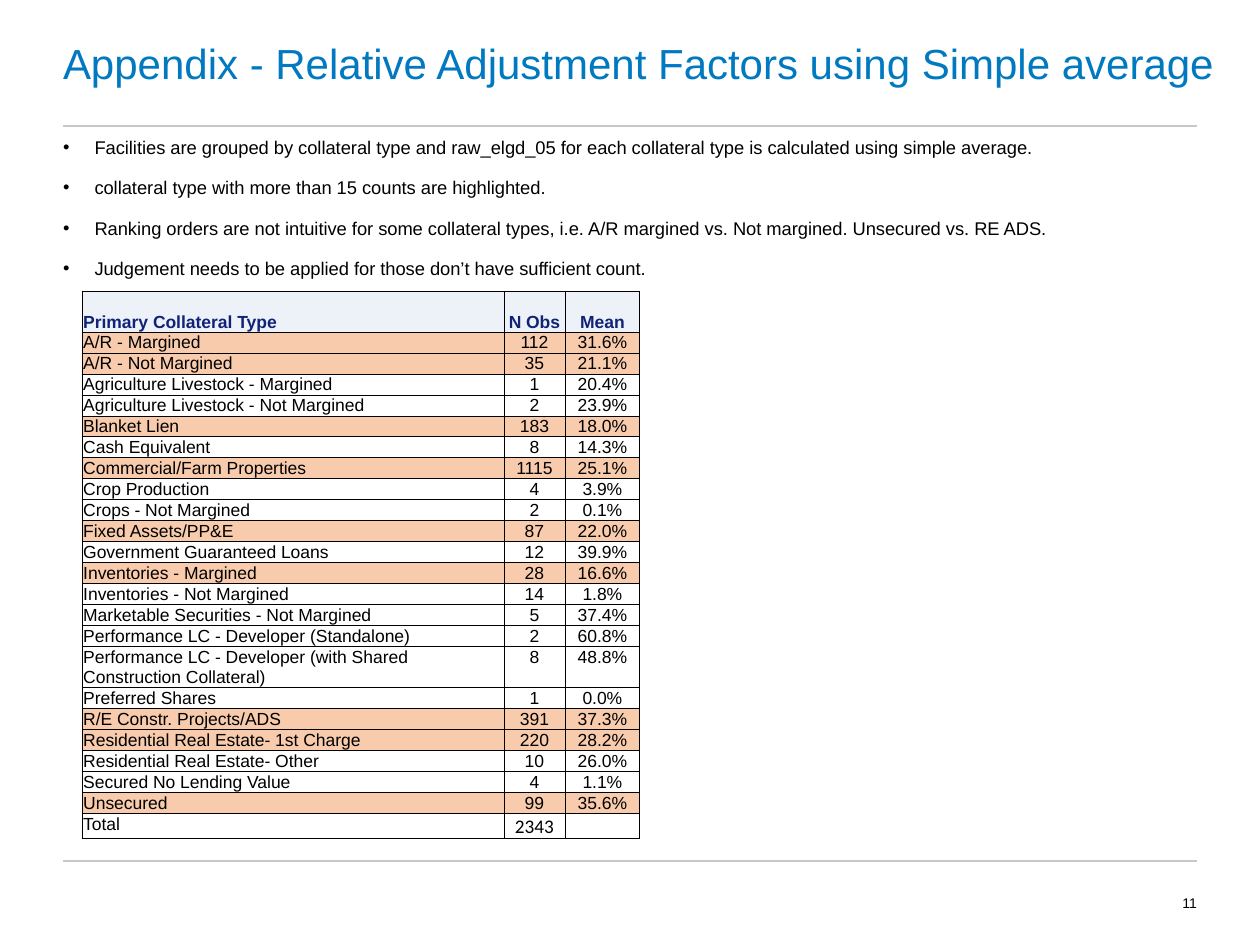
"""Build the appendix slide on relative adjustment factors using simple average."""
from lxml import etree
from pptx import Presentation, util as u
from pptx.dml.color import RGBColor
from pptx.enum import shapes, text
from pptx.oxml import ns

PX = 914400 / 126


def px(*lengths):
    return [u.Emu(round(n * PX)) for n in lengths]


def add_run(p, words, size, color, font="Arial", bold=False):
    r = p.add_run()
    r.text = words
    r.font.size = u.Pt(size)
    r.font.name = font
    r.font.bold = bold
    r.font.color.rgb = RGBColor.from_string(color)


bullets = [
    "Facilities are grouped by collateral type and raw_elgd_05 for each collateral type is calculated using simple average.",
    "collateral type with more than 15 counts are highlighted.",
    "Ranking orders are not intuitive for some collateral types, i.e. A/R margined vs. Not margined. Unsecured vs. RE ADS.",
    "Judgement needs to be applied for those don’t have sufficient count.",
]
factors = [
    ("A/R - Margined", 112, "31.6%"),
    ("A/R - Not Margined", 35, "21.1%"),
    ("Agriculture Livestock - Margined", 1, "20.4%"),
    ("Agriculture Livestock - Not Margined", 2, "23.9%"),
    ("Blanket Lien", 183, "18.0%"),
    ("Cash Equivalent", 8, "14.3%"),
    ("Commercial/Farm Properties", 1115, "25.1%"),
    ("Crop Production", 4, "3.9%"),
    ("Crops - Not Margined", 2, "0.1%"),
    ("Fixed Assets/PP&E", 87, "22.0%"),
    ("Government Guaranteed Loans", 12, "39.9%"),
    ("Inventories - Margined", 28, "16.6%"),
    ("Inventories - Not Margined", 14, "1.8%"),
    ("Marketable Securities - Not Margined", 5, "37.4%"),
    ("Performance LC - Developer (Standalone)", 2, "60.8%"),
    ("Performance LC - Developer (with Shared Construction Collateral)", 8, "48.8%"),
    ("Preferred Shares", 1, "0.0%"),
    ("R/E Constr. Projects/ADS", 391, "37.3%"),
    ("Residential Real Estate- 1st Charge", 220, "28.2%"),
    ("Residential Real Estate- Other", 10, "26.0%"),
    ("Secured No Lending Value", 4, "1.1%"),
    ("Unsecured", 99, "35.6%"),
]
total = sum(count for _, count, _ in factors)
rows = [("Primary Collateral Type", "N Obs", "Mean"), *factors, ("Total", total, "")]
last = len(rows) - 1

prs = Presentation()
prs.slide_width, prs.slide_height = px(1260, 945)
s = prs.slides.add_slide(prs.slide_layouts[1])

for y in (861, 126):
    x1, x2, y1 = px(63, 1197, y)
    line = s.shapes.add_connector(shapes.MSO_CONNECTOR.STRAIGHT, x1, y1, x2, y1)
    line.line.color.rgb = RGBColor.from_string("C8C8C8")
    line.line.width = u.Pt(0.75)
    etree.SubElement(line._element.spPr, ns.qn("a:effectLst"))

title, body = s.placeholders
number = s.shapes.add_textbox(*px(1134, 861, 63, 84))
for sp, box, anchor in (
    (title, (63, 0, 1166, 126), text.MSO_ANCHOR.MIDDLE),
    (body, (63, 136, 1134, 714), text.MSO_ANCHOR.TOP),
    (number, (1134, 861, 63, 84), text.MSO_ANCHOR.MIDDLE),
):
    sp.left, sp.top, sp.width, sp.height = px(*box)
    tf = sp.text_frame
    tf.margin_left = tf.margin_top = tf.margin_right = tf.margin_bottom = 0
    tf.word_wrap = True
    tf.auto_size = text.MSO_AUTO_SIZE.NONE
    tf.vertical_anchor = anchor

p = title.text_frame.paragraphs[0]
p.alignment = text.PP_ALIGN.LEFT
add_run(p, "Appendix - Relative Adjustment Factors using Simple average", 24, "0079C1")

tf = body.text_frame
for i, words in enumerate(bullets):
    p = tf.add_paragraph() if i else tf.paragraphs[0]
    p.space_before = u.Pt(10.5)
    pPr = p._p.get_or_add_pPr()
    pPr.set("marL", str(u.Inches(0.25)))
    pPr.set("indent", str(-u.Inches(0.25)))
    etree.SubElement(pPr, ns.qn("a:buFont"), typeface="Arial")
    etree.SubElement(pPr, ns.qn("a:buChar"), char="•")
    add_run(p, words, 10.5, "000000")

p = number.text_frame.paragraphs[0]
p.alignment = text.PP_ALIGN.RIGHT
add_run(p, "11", 8, "000000")

tbl = s.shapes.add_table(len(rows), 3, *px(82, 291, 558, 546)).table
tbl.first_row = tbl.horz_banding = False
for column, width in zip(tbl.columns, px(422, 61, 75)):
    column.width = width

for i, row in enumerate(rows):
    header = i == 0
    tall = header or len(row[0]) > 50
    tbl.rows[i].height = px(41 if tall else 23 if i == last else 21)[0]
    if header:
        fill = "EDF2F9"
    else:
        fill = "F8CBAD" if row[1] > 15 and i != last else "FFFFFF"
    for j, value in enumerate(row):
        cell = tbl.cell(i, j)
        cell.margin_left = cell.margin_top = cell.margin_right = u.Inches(0.01)
        cell.margin_bottom = 0
        is_total = i == last and j == 1
        bottom = header or is_total
        cell.vertical_anchor = text.MSO_ANCHOR.BOTTOM if bottom else text.MSO_ANCHOR.TOP
        tcPr = cell._tc.get_or_add_tcPr()
        for side in ("a:lnL", "a:lnR", "a:lnT", "a:lnB"):
            ln = etree.SubElement(tcPr, ns.qn(side), w=str(u.Pt(0.5)))
            solid = etree.SubElement(ln, ns.qn("a:solidFill"))
            etree.SubElement(solid, ns.qn("a:srgbClr"), val="000000")
        if i == last and j:
            cell.fill.background()
        else:
            cell.fill.solid()
            cell.fill.fore_color.rgb = RGBColor.from_string(fill)
        p = cell.text_frame.paragraphs[0]
        p.alignment = text.PP_ALIGN.CENTER if j else text.PP_ALIGN.LEFT
        if value == "":
            etree.SubElement(p._p, ns.qn("a:endParaRPr"), sz="1000")
        elif is_total:
            add_run(p, str(value), 11, "000000", "Calibri")
        else:
            add_run(p, str(value), 10, "112277" if header else "000000", bold=header)

prs.save("out.pptx")
